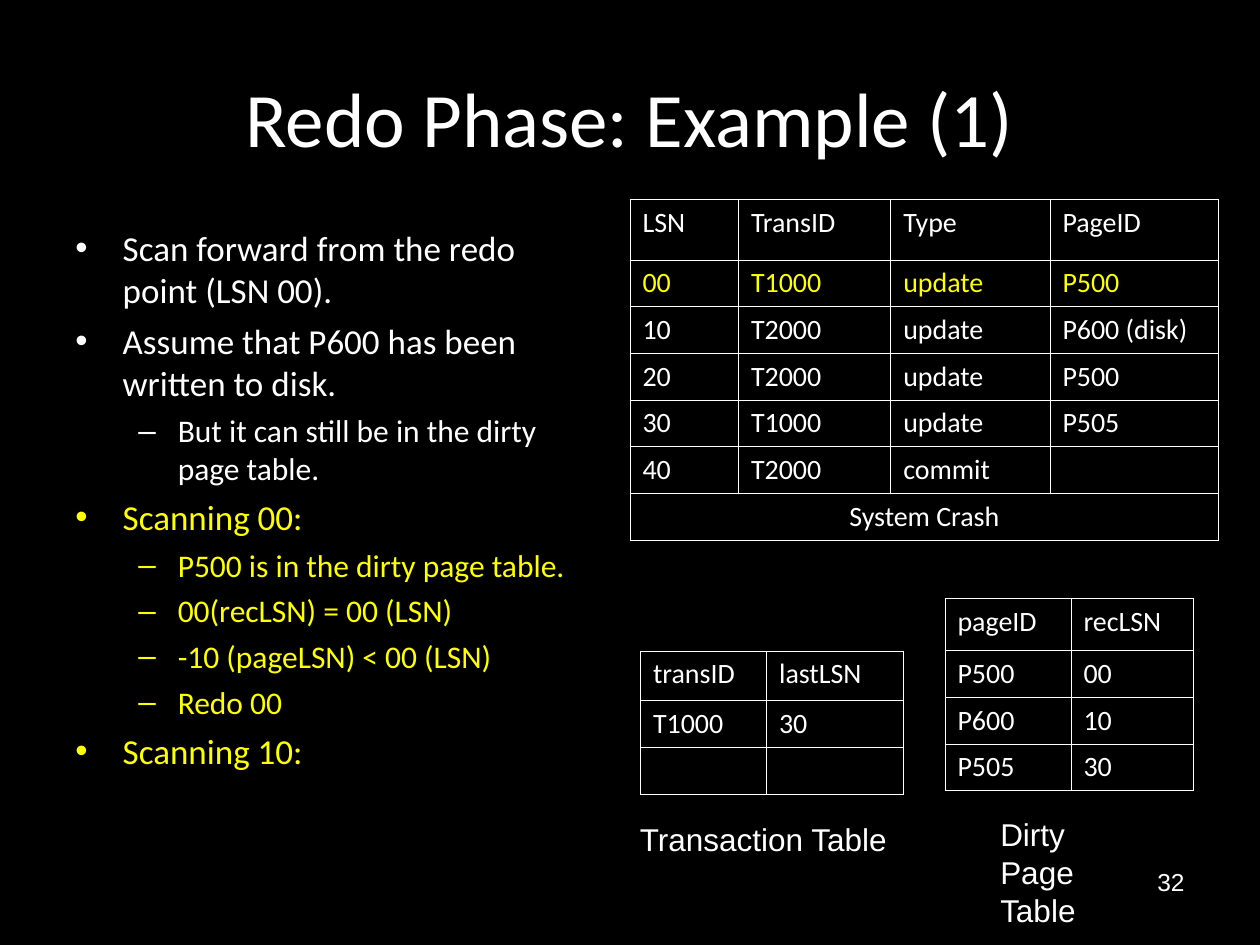
from dataclasses import dataclass

import lxml.etree
import pptx
import pptx.dml.color
import pptx.enum.text
import pptx.oxml.ns
import pptx.util

Pt = pptx.util.Pt
ALIGN = pptx.enum.text.PP_ALIGN
WHITE, YELLOW, BLACK = "FFFFFF", "FFFF00", "000000"
CELL_SIZE = 16
ROW_HEIGHT = 26.7


@dataclass
class Label:
    lines: list[str]
    left: float
    top: float
    width: float
    height: float
    size: float
    font: str = "Arial"
    align: ALIGN = ALIGN.LEFT
    middle: bool = False
    wrap: bool = False


@dataclass
class Point:
    text: str
    level: int = 0
    color: str = WHITE


@dataclass
class BulletLevel:
    mark: str
    size: float
    margin: float
    hanging: float
    space_before: float


@dataclass
class LogTable:
    left: float
    top: float
    widths: list[float]
    header_height: float
    rows: list[list[str]]
    highlighted: int = -1


LEVELS = [BulletLevel("•", 20, 27, 27, 5), BulletLevel("–", 18, 58.5, 22.5, 4.5)]

POINTS = [
    Point("Scan forward from the redo point (LSN 00)."),
    Point("Assume that P600 has been written to disk."),
    Point("But it can still be in the dirty page table.", 1),
    Point("Scanning 00:", 0, YELLOW),
    Point("P500 is in the dirty page table.", 1, YELLOW),
    Point("00(recLSN) = 00 (LSN)", 1, YELLOW),
    Point("-10 (pageLSN) < 00 (LSN)", 1, YELLOW),
    Point("Redo 00", 1, YELLOW),
    Point("Scanning 10:", 0, YELLOW),
]

PAGE_NUMBER = Label(["32"], 516, 492, 168, 37.5, 14, align=ALIGN.RIGHT, wrap=True)
TITLE = Label(["Redo Phase: Example (1)"], 36, 21.6, 648, 90, 44, "Calibri",
              ALIGN.CENTER, middle=True, wrap=True)
CAPTIONS = [
    Label(["Transaction Table"], 358.6, 465, 158.4, 29, 18),
    Label(["Dirty Page", "Table"], 564.5, 462.2, 98, 50.4, 18),
]

LOG = LogTable(360, 114, [62, 87, 91, 96.5], 34.5, [
    ["LSN", "TransID", "Type", "PageID"],
    ["00", "T1000", "update", "P500"],
    ["10", "T2000", "update", "P600 (disk)"],
    ["20", "T2000", "update", "P500"],
    ["30", "T1000", "update", "P505"],
    ["40", "T2000", "commit", ""],
    ["System Crash", "", "", ""],
], highlighted=1)
DIRTY_PAGES = LogTable(540, 342, [72, 70], 29.8, [
    ["pageID", "recLSN"], ["P500", "00"], ["P600", "10"], ["P505", "30"],
])
TRANSACTIONS = LogTable(366, 372, [72, 78], 28.5, [
    ["transID", "lastLSN"], ["T1000", "30"], ["", ""],
])


def rgb(color: str):
    return pptx.dml.color.RGBColor.from_string(color)


def add_element(parent, tag: str, **attributes: str):
    element = lxml.etree.SubElement(parent, pptx.oxml.ns.qn(tag))
    for name, value in attributes.items():
        element.set(name, value)
    return element


def format_runs(paragraph, size: float, font: str, color: str) -> None:
    for run in paragraph.runs:
        run.font.size = Pt(size)
        run.font.name = font
        run.font.color.rgb = rgb(color)


def add_label(slide, label: Label) -> None:
    box = slide.shapes.add_textbox(
        Pt(label.left), Pt(label.top), Pt(label.width), Pt(label.height))
    frame = box.text_frame
    frame.word_wrap = label.wrap
    if label.middle:
        frame.vertical_anchor = pptx.enum.text.MSO_ANCHOR.MIDDLE
    frame.text = "\n".join(label.lines)
    for paragraph in frame.paragraphs:
        paragraph.alignment = label.align
        format_runs(paragraph, label.size, label.font, WHITE)


def add_points(slide, points: list[Point]) -> None:
    frame = slide.shapes.add_textbox(Pt(36), Pt(126), Pt(312), Pt(356.4)).text_frame
    frame.word_wrap = True
    frame.text = "\n".join(point.text for point in points)
    for index, (paragraph, point) in enumerate(zip(frame.paragraphs, points)):
        level = LEVELS[point.level]
        paragraph.level = point.level
        if index:
            paragraph.space_before = Pt(level.space_before)
        properties = paragraph._p.get_or_add_pPr()
        properties.set("marL", str(Pt(level.margin)))
        properties.set("indent", str(-Pt(level.hanging)))
        add_element(add_element(properties, "a:buClr"), "a:srgbClr", val=point.color)
        add_element(properties, "a:buFont", typeface="Arial")
        add_element(properties, "a:buChar", char=level.mark)
        format_runs(paragraph, level.size, "Calibri", point.color)


def add_borders(cell) -> None:
    properties = cell._tc.get_or_add_tcPr()
    for position, side in enumerate("LRTB"):
        line = add_element(properties, f"a:ln{side}", w=str(Pt(0.45)))
        add_element(add_element(line, "a:solidFill"), "a:srgbClr", val=WHITE)
        properties.insert(position, line)  # border lines precede the cell fill


def add_log_table(slide, log: LogTable) -> None:
    heights = [log.header_height] + [ROW_HEIGHT] * (len(log.rows) - 1)
    table = slide.shapes.add_table(
        len(heights), len(log.widths), Pt(log.left), Pt(log.top),
        Pt(sum(log.widths)), Pt(sum(heights))).table
    table.first_row = table.horz_banding = False
    for column, width in zip(table.columns, log.widths):
        column.width = Pt(width)
    for number, (row, height, texts) in enumerate(zip(table.rows, heights, log.rows)):
        row.height = Pt(height)
        color = YELLOW if number == log.highlighted else WHITE
        for cell, text in zip(row.cells, texts):
            cell.fill.background()
            add_borders(cell)
            cell.text_frame.text = text
            paragraph = cell.text_frame.paragraphs[0]
            format_runs(paragraph, CELL_SIZE, "Calibri", color)
            if not text:
                add_element(paragraph._p, "a:endParaRPr", sz=str(CELL_SIZE * 100))
    if log is LOG:
        last = len(heights) - 1
        crash = table.cell(last, 0)
        crash.merge(table.cell(last, len(log.widths) - 1))
        crash.text_frame.paragraphs[0].alignment = ALIGN.CENTER


def main() -> None:
    deck = pptx.Presentation()
    deck.slide_width, deck.slide_height = Pt(720), Pt(540)
    slide = deck.slides.add_slide(deck.slide_layouts[6])
    slide.background.fill.solid()
    slide.background.fill.fore_color.rgb = rgb(BLACK)

    add_label(slide, PAGE_NUMBER)
    add_label(slide, TITLE)
    add_points(slide, POINTS)
    for log in (LOG, DIRTY_PAGES, TRANSACTIONS):
        add_log_table(slide, log)
    for caption in CAPTIONS:
        add_label(slide, caption)
    deck.save("out.pptx")


if __name__ == "__main__":
    main()
